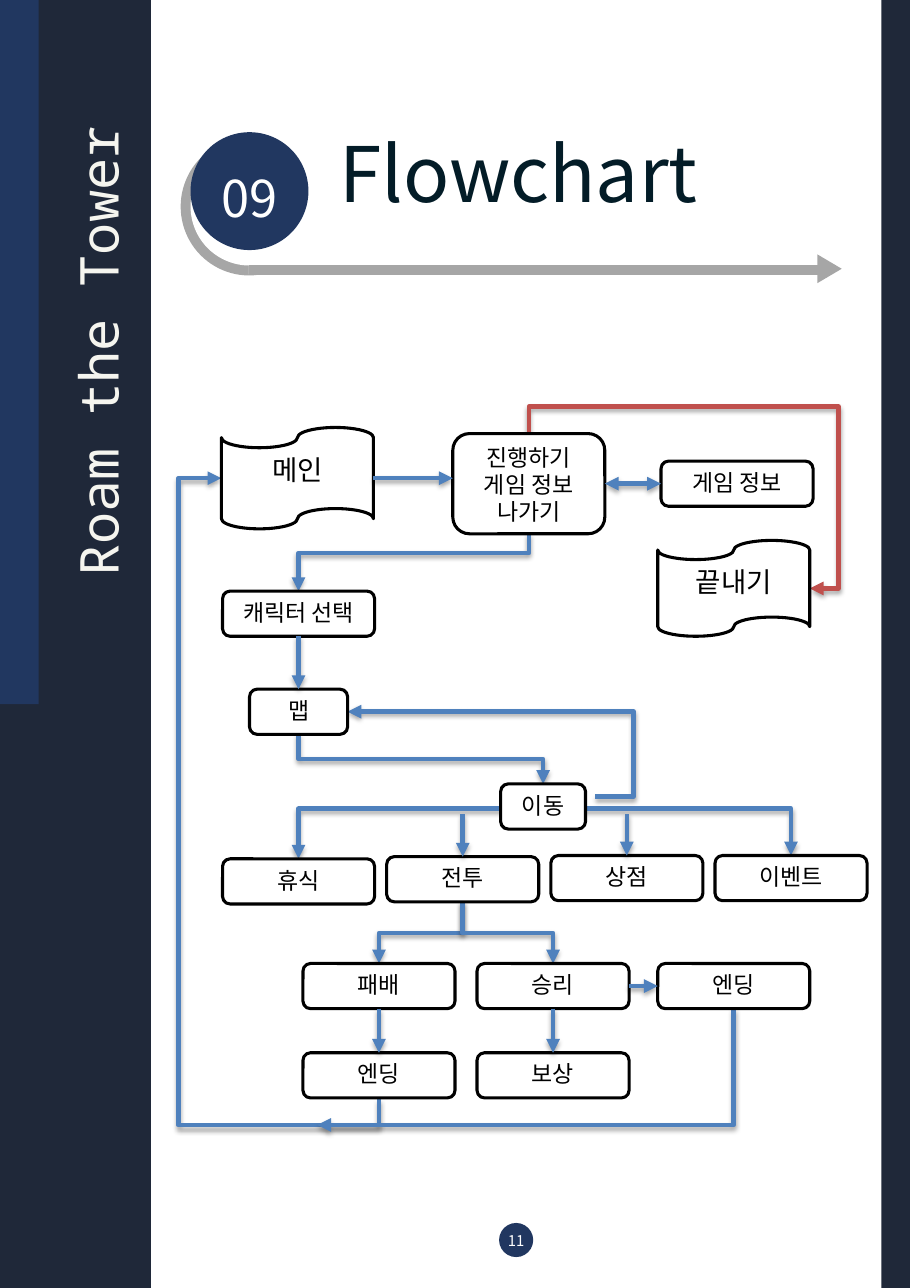
from lxml import etree
from pptx import Presentation
from pptx.dml.color import RGBColor
from pptx.enum.shapes import MSO_CONNECTOR, MSO_SHAPE
from pptx.enum.text import MSO_ANCHOR, PP_ALIGN
from pptx.oxml.ns import qn
from pptx.util import Inches, Pt

WIDTH, HEIGHT = 8.26, 11.69
SANS, MONO = "Noto Sans CJK KR", "Noto Sans Mono"
DARK, NAVY = RGBColor(0x1F, 0x28, 0x39), RGBColor(0x21, 0x37, 0x60)
WHITE, BLACK = RGBColor(0xFF, 0xFF, 0xFF), RGBColor(0, 0, 0)
IVORY, INK = RGBColor(0xF5, 0xF5, 0xEF), RGBColor(0x03, 0x1C, 0x27)
GRAY, BLUE = RGBColor(0xA6, 0xA6, 0xA6), RGBColor(0x4F, 0x81, 0xBD)
RED = RGBColor(0xC0, 0x50, 0x4D)
RECTANGLE, OVAL = MSO_SHAPE.RECTANGLE, MSO_SHAPE.OVAL
TRIANGLE, ROUNDED = MSO_SHAPE.ISOSCELES_TRIANGLE, MSO_SHAPE.ROUNDED_RECTANGLE
TAPE = MSO_SHAPE.FLOWCHART_PUNCHED_TAPE
STRAIGHT, ELBOW = MSO_CONNECTOR.STRAIGHT, MSO_CONNECTOR.ELBOW
LEFT_ALIGN, CENTER = PP_ALIGN.LEFT, PP_ALIGN.CENTER
TOP_ANCHOR = MSO_ANCHOR.TOP
TOP, LEFT, BOTTOM, RIGHT = range(4)
NODE_WIDTH, NODE_HEIGHT = 1.38, 0.41
BRANCH_STEP = 1.49

NODES = {
    "menu": ("진행하기\n게임 정보\n나가기", 2.8, 0.69, NODE_WIDTH, 0.91, ROUNDED),
    "main": ("메인", 0.7, 0.64, NODE_WIDTH, 0.92, TAPE),
    "exit": ("끝내기", 4.66, 1.64, NODE_WIDTH, 0.87, TAPE),
    "info": ("게임 정보", 4.69, 0.69),
    "character": ("캐릭터 선택", 0.71, 1.87),
    "map": ("맵", 0.71, 2.76, 0.89),
    "move": ("이동", 2.93, 3.62, 0.77),
    "rest": ("휴식", 0.71, 4.3),
    "battle": ("전투", 0.71 + BRANCH_STEP, 4.28),
    "shop": ("상점", 0.71 + 2 * BRANCH_STEP, 4.27),
    "event": ("이벤트", 0.71 + 3 * BRANCH_STEP, 4.27),
    "defeat": ("패배", 1.44, 5.25),
    "victory": ("승리", 3.02, 5.25),
    "final ending": ("엔딩", 4.66, 5.25),
    "early ending": ("엔딩", 1.44, 6.06),
    "reward": ("보상", 3.02, 6.06),
}
ELBOWS = [
    (("rest", TOP), [3.64], ("event", TOP), BLUE, True),
    (("menu", BOTTOM), [1.32], ("character", TOP), BLUE, False),
    (("map", BOTTOM), [3.19], ("move", TOP), BLUE, False),
    (("menu", TOP), [-0.01, 5.61], ("exit", RIGHT), RED, False),
    (("battle", BOTTOM), [4.77], ("defeat", TOP), BLUE, False),
    (("battle", BOTTOM), [4.77], ("victory", TOP), BLUE, False),
    (("early ending", BOTTOM), [6.51, -0.38], ("main", LEFT), BLUE, False),
    ((3.4, 3.53), [3.75], ("map", RIGHT), BLUE, False),
    (("final ending", BOTTOM), [], (0.88, 6.51), BLUE, False),
]
ARROWS = [
    (("menu", RIGHT), ("info", LEFT), True),
    (("main", RIGHT), (2.11, 0.64), False),
    (("character", BOTTOM), ("map", TOP), False),
    ((2.2, 3.69), ("battle", TOP), False),
    ((3.69, 3.69), ("shop", TOP), False),
    (("defeat", BOTTOM), ("early ending", TOP), False),
    (("victory", BOTTOM), ("reward", TOP), False),
    (("victory", RIGHT), ("final ending", LEFT), False),
]


def add_filled(slide, kind, left, top, width, height, color):
    """Add a shape with a plain fill and no outline."""
    shape = slide.shapes.add_shape(
        kind, Inches(left), Inches(top), Inches(width), Inches(height))
    shape.shadow.inherit = False
    shape.fill.solid()
    shape.fill.fore_color.rgb = color
    shape.line.fill.background()
    return shape


def write_text(frame, text, size, font, color, spacing, align=CENTER):
    """Write one paragraph per line of text, in one style."""
    frame.word_wrap = True
    frame.vertical_anchor = TOP_ANCHOR
    frame.text = text
    for paragraph in frame.paragraphs:
        paragraph.alignment = align
        paragraph.line_spacing = Pt(spacing)
        paragraph.font.size = Pt(size)
        paragraph.font.name = font
        paragraph.font.color.rgb = color
        defaults = paragraph._p.pPr.find(qn("a:defRPr"))
        etree.SubElement(defaults, qn("a:ea"), typeface=font)


def add_label(slide, left, top, width, height, *style):
    """Add a text box without margins."""
    box = slide.shapes.add_textbox(
        Inches(left), Inches(top), Inches(width), Inches(height))
    frame = box.text_frame
    frame.margin_left = frame.margin_top = frame.margin_right = frame.margin_bottom = 0
    write_text(frame, *style)
    return box


def style_connector(connector, color, width, ends=(), shadow=False):
    """Set line, arrowheads and shadow of a connector."""
    connector.line.color.rgb = color
    connector.line.width = Pt(width)
    properties = connector._element.spPr
    for end in ends:
        etree.SubElement(properties.find(qn("a:ln")), qn(end), type="triangle")
    effects = etree.SubElement(properties, qn("a:effectLst"))
    if shadow:
        outer = etree.SubElement(effects, qn("a:outerShdw"), blurRad="40000",
                                 dist="23000", dir="5400000", rotWithShape="0")
        tint = etree.SubElement(outer, qn("a:srgbClr"), val="000000")
        etree.SubElement(tint, qn("a:alpha"), val="35000")


def arrow_ends(double):
    """Return the arrowhead elements of a single or double arrow."""
    return ("a:headEnd", "a:tailEnd") if double else ("a:tailEnd",)


def locate(place):
    """Return the point at the middle of a node's side, or a free point."""
    if place[0] not in NODES:
        return place
    _, x, y, width, height, _ = (*NODES[place[0]], NODE_WIDTH, NODE_HEIGHT, ROUNDED)[:6] \
        if len(NODES[place[0]]) != 4 else (*NODES[place[0]], NODE_HEIGHT, ROUNDED)
    across, down = [(0, -0.5), (-0.5, 0), (0, 0.5), (0.5, 0)][place[1]]
    return x + across * width, y + down * height


def add_elbow(slide, left, top, start, lanes, end, color, double):
    """Add a bent arrow whose middle legs run along the given lanes."""
    first, last = locate(start), locate(end)
    upright = start[0] in NODES and start[1] in (TOP, BOTTOM)
    axes = (1, 0) if upright else (0, 1)
    spans = [last[axis] - first[axis] for axis in axes]
    width, height = map(abs, spans)
    x = left + (first[0] + last[0] - width) / 2
    y = top + (first[1] + last[1] - height) / 2
    connector = slide.shapes.add_connector(
        ELBOW, Inches(x), Inches(y), Inches(x + width), Inches(y + height))
    properties = connector._element.spPr
    flip_across, flip_down = spans[0] < 0, (spans[1] > 0) == upright
    properties.xfrm.set("rot", "5400000" if upright else "0")
    properties.xfrm.set("flipH", str(int(flip_across)))
    properties.xfrm.set("flipV", str(int(flip_down)))
    geometry = properties.find(qn("a:prstGeom"))
    geometry.set("prst", f"bentConnector{len(lanes) + 2}")
    guides = geometry.find(qn("a:avLst"))
    for number, (lane, axis, span) in enumerate(zip(lanes, axes, spans), 1):
        share = round((lane - first[axis]) / span * 100000)
        etree.SubElement(guides, qn("a:gd"), name=f"adj{number}", fmla=f"val {share}")
    style_connector(connector, color, 3, arrow_ends(double), True)


def add_node(slide, left, top, text, x, y, width=NODE_WIDTH, height=NODE_HEIGHT, kind=ROUNDED):
    """Add a flowchart node centred on a point."""
    node = add_filled(slide, kind, left + x - width / 2, top + y - height / 2,
                      width, height, WHITE)
    node.line.color.rgb = BLACK
    node.line.width = Pt(2)
    size = 18 if kind == TAPE else 15
    write_text(node.text_frame, text, size, SANS, BLACK, round(size * 1.19, 1))
    return node


def add_flowchart(slide, left, top):
    """Draw the flowchart from its top left corner."""
    for elbow in ELBOWS:
        add_elbow(slide, left, top, *elbow)
    nodes = {name: add_node(slide, left, top, *node) for name, node in NODES.items()}
    for start, end, double in ARROWS:
        (x1, y1), (x2, y2) = locate(start), locate(end)
        arrow = slide.shapes.add_connector(
            STRAIGHT, Inches(left + x1), Inches(top + y1), Inches(left + x2), Inches(top + y2))
        if start[0] in nodes:
            arrow.begin_connect(nodes[start[0]], start[1])
        if end[0] in nodes:
            arrow.end_connect(nodes[end[0]], end[1])
        style_connector(arrow, BLUE, 3, arrow_ends(double), True)


def add_side_bands(slide, width, height):
    """Draw the bands at both edges and the upright name."""
    add_filled(slide, RECTANGLE, width - 0.26, 0, 0.26, height, DARK)
    add_filled(slide, RECTANGLE, 0, 0, 1.37, height, DARK)
    add_filled(slide, RECTANGLE, 0, 0, 0.35, 6.39, NAVY)
    name = add_label(slide, -2.4, 2.84, 6.39, 0.7, "Roam the Tower", 35, MONO, IVORY, 52.5)
    name.rotation = 270


def add_heading(slide, left, top):
    """Draw the numbered badge, its hooked arrow and the title."""
    add_filled(slide, OVAL, left, top + 0.05, 1.24, 1.25, GRAY)
    add_filled(slide, OVAL, left + 0.09, top + 0.14, 1.07, 1.07, WHITE)
    add_filled(slide, RECTANGLE, left + 0.62, top, 1.09, 1.29, WHITE)
    add_filled(slide, OVAL, left + 0.09, top, 1.07, 1.07, NAVY)
    line = slide.shapes.add_connector(STRAIGHT, Inches(left + 0.62), Inches(top + 1.25),
                                      Inches(left + 5.89), Inches(top + 1.25))
    style_connector(line, GRAY, 6)
    tip = add_filled(slide, TRIANGLE, left + 5.76, top + 1.13, 0.26, 0.22, GRAY)
    tip.rotation = 90
    add_label(slide, left + 0.28, top + 0.22, 0.69, 0.56, "09", 33.1, SANS, WHITE, 46.4)
    add_label(slide, left + 1.44, top + 0.54, 3.94, 0.3,
              "Flowchart", 50, SANS, INK, 16.9, LEFT_ALIGN)


def add_page_number(slide, left, top):
    """Draw the page number in its disc."""
    add_filled(slide, OVAL, left, top, 0.31, 0.31, NAVY)
    add_label(slide, left + 0.06, top + 0.05, 0.19, 0.17, "11", 9.7, SANS, WHITE, 13.5)


def main():
    """Build the slide and save it."""
    presentation = Presentation()
    presentation.slide_width, presentation.slide_height = Inches(WIDTH), Inches(HEIGHT)
    slide = presentation.slides.add_slide(presentation.slide_layouts[6])
    add_side_bands(slide, WIDTH, HEIGHT)
    add_heading(slide, 1.64, 1.2)
    add_flowchart(slide, 2, 3.7)
    add_page_number(slide, 4.53, 11.1)
    presentation.save("out.pptx")


if __name__ == "__main__":
    main()
